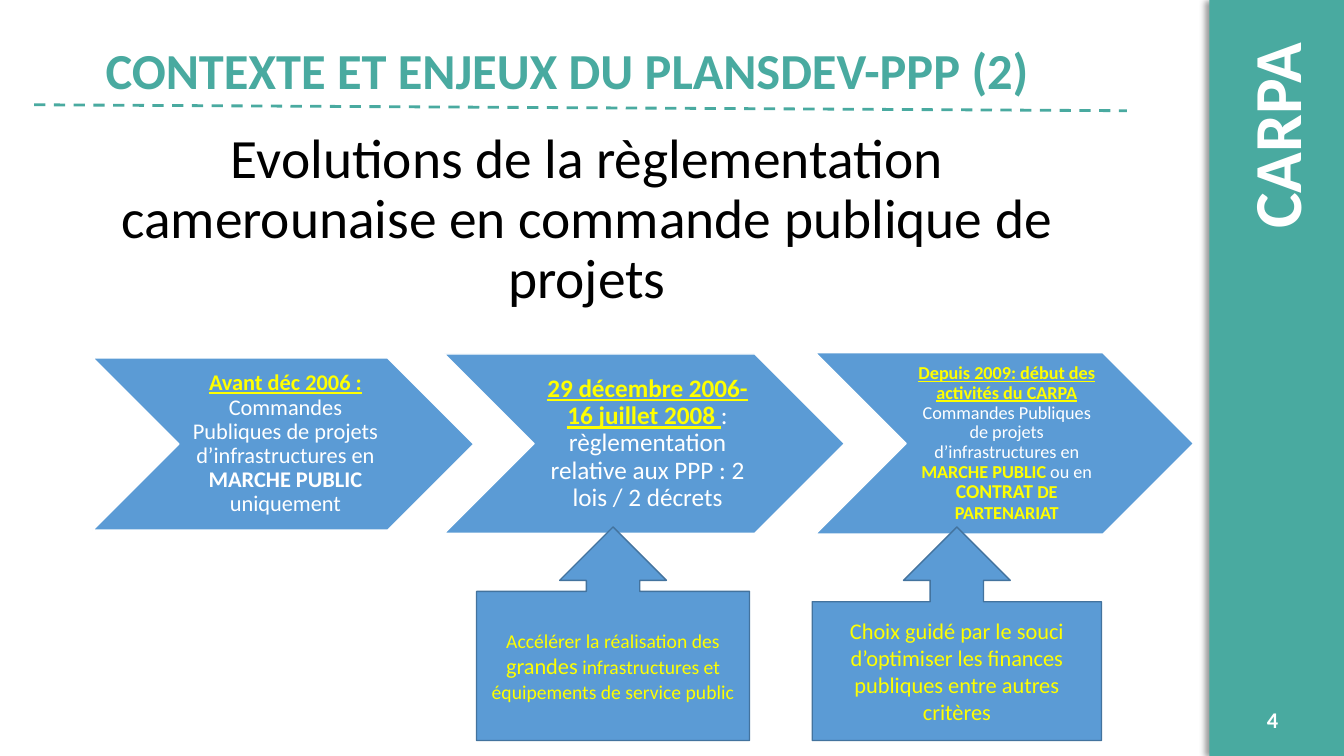
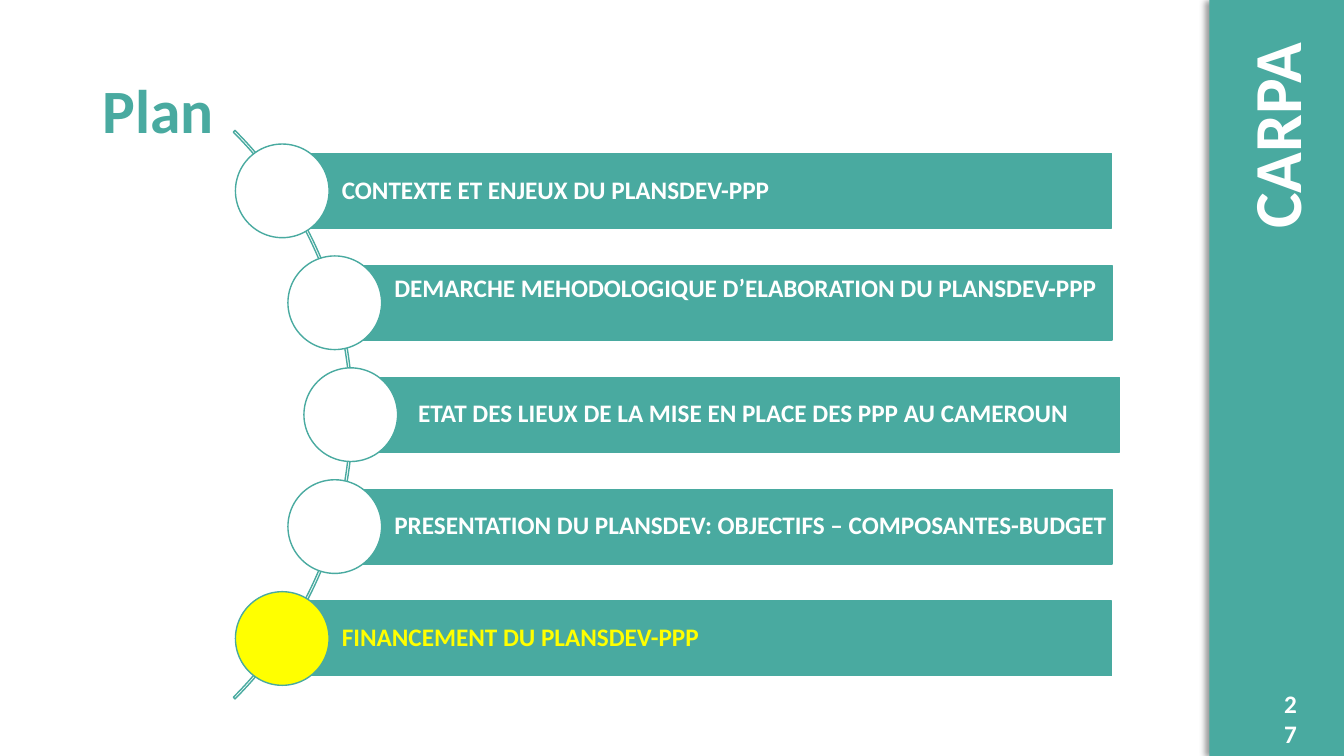
"""Build two slides on the PLANSDEV-PPP with a shared CARPA side band."""
from dataclasses import dataclass
from math import sqrt

from lxml import etree
from pptx import Presentation
from pptx.dml.color import RGBColor
from pptx.enum.dml import MSO_LINE
from pptx.enum.shapes import MSO_CONNECTOR, MSO_SHAPE
from pptx.enum.text import MSO_ANCHOR, PP_ALIGN
from pptx.oxml.ns import qn
from pptx.util import Cm, Pt

RECTANGLE = MSO_SHAPE.RECTANGLE
OVAL = MSO_SHAPE.OVAL
CHEVRON = MSO_SHAPE.CHEVRON
CALLOUT = MSO_SHAPE.UP_ARROW_CALLOUT
BLOCK_ARC = MSO_SHAPE.BLOCK_ARC
STRAIGHT = MSO_CONNECTOR.STRAIGHT
DASH = MSO_LINE.DASH
LEFT, CENTER, RIGHT = PP_ALIGN.LEFT, PP_ALIGN.CENTER, PP_ALIGN.RIGHT
TOP, MIDDLE = MSO_ANCHOR.TOP, MSO_ANCHOR.MIDDLE

FONT = "Calibri"
COLORS = {
    "teal": "49AAA0",
    "blue": "5B9BD5",
    "navy": "43739E",
    "yellow": "FFFF00",
    "white": "FFFFFF",
    "black": "000000",
}
DEFAULT_INSETS = (0.25, 0.13, 0.25, 0.13)
ARC_X, ARC_Y, ARC_RADIUS = -1.24, 10.45, 10.13
CIRCLE_ORBIT, CIRCLE_SIZE = 10.08, 2.36
BAR_PITCH, BAR_HEIGHT, BAR_RIGHT = 2.82, 1.88, 28.02


@dataclass(frozen=True)
class Span:
    """A stretch of text with one format."""
    text: str
    size: float
    color: str = "white"
    bold: bool = False
    underline: bool = False


@dataclass(frozen=True)
class Place:
    """A rectangle on the slide, in centimetres."""
    left: float
    top: float
    width: float
    height: float


@dataclass(frozen=True)
class Stage:
    """A chevron of the timeline with its text area."""
    place: Place
    text_place: Place
    spans: tuple[Span, ...]


@dataclass(frozen=True)
class Reason:
    """A callout that points up at a stage."""
    place: Place
    head_share: float
    spans: tuple[Span, ...]


@dataclass(frozen=True)
class Chapter:
    """A bar of the plan with its circle."""
    title: str
    shift: float = 0
    bottom_inset: float = 0.13
    current: bool = False


STAGES = (
    Stage(Place(2.34, 9.02, 9.6, 4.34), Place(4.5, 9.02, 5.26, 4.34), (
        Span("Avant déc 2006 : ", 16, "yellow", True, True),
        Span("Commandes Publiques de projets d’infrastructures en ", 16),
        Span("MARCHE PUBLIC ", 16, bold=True),
        Span("uniquement", 16),
    )),
    Stage(Place(11.2, 8.92, 10.08, 4.52), Place(13.46, 8.92, 5.59, 4.52), (
        Span("29 décembre 2006-16 juillet 2008 ", 18, "yellow", True, True),
        Span(": règlementation relative aux PPP : 2 lois / 2 décrets", 18),
    )),
    Stage(Place(20.55, 8.89, 9.53, 4.57), Place(22.83, 8.89, 4.95, 4.57), (
        Span("Depuis 2009: début des activités du CARPA ", 13, "yellow", True, True),
        Span("Commandes Publiques de projets d’infrastructures en ", 13),
        Span("MARCHE PUBLIC ", 13, "yellow", True),
        Span("ou en ", 13),
        Span("CONTRAT", 14, "yellow", True),
        Span(" DE PARTENARIAT", 13, "yellow", True),
    )),
)

REASONS = (
    Reason(Place(12.01, 13.28, 6.88, 5.38), 0.698, (
        Span("Accélérer la réalisation des ", 14, "yellow"),
        Span("grandes", 16, "yellow"),
        Span(" infrastructures et équipements de service public", 14, "yellow"),
    )),
    Reason(Place(20.47, 13.28, 7.29, 5.38), 0.65, (
        Span("Choix guidé par le souci d’optimiser les finances "
             "publiques entre autres critères", 16, "yellow"),
    )),
)

CHAPTERS = (
    Chapter("CONTEXTE ET ENJEUX DU PLANSDEV-PPP"),
    Chapter("DEMARCHE MEHODOLOGIQUE D’ELABORATION DU PLANSDEV-PPP",
            bottom_inset=0.81),
    Chapter("ETAT DES LIEUX DE LA MISE EN PLACE DES PPP AU CAMEROUN", shift=0.2),
    Chapter("PRESENTATION DU PLANSDEV: OBJECTIFS – COMPOSANTES-BUDGET"),
    Chapter("FINANCEMENT DU PLANSDEV-PPP", current=True),
)


def rgb(name: str) -> RGBColor:
    """Look up a colour by name."""
    return RGBColor.from_string(COLORS[name])


def lengths(place: Place) -> tuple[Cm, Cm, Cm, Cm]:
    """Turn a place into slide lengths."""
    return Cm(place.left), Cm(place.top), Cm(place.width), Cm(place.height)


def write(shape, *spans: Span, align=LEFT, anchor=MIDDLE, spacing: float = 1.0,
          insets: tuple[float, float, float, float] = DEFAULT_INSETS) -> None:
    """Write one paragraph of spans into a shape."""
    frame = shape.text_frame
    frame.word_wrap = True
    frame.vertical_anchor = anchor
    (frame.margin_left, frame.margin_top,
     frame.margin_right, frame.margin_bottom) = map(Cm, insets)
    para = frame.paragraphs[0]
    para.alignment = align
    para.line_spacing = spacing
    for span in spans:
        run = para.add_run()
        run.text = span.text
        run.font.name = FONT
        run.font.size = Pt(span.size)
        run.font.bold = span.bold
        run.font.underline = span.underline
        run.font.color.rgb = rgb(span.color)


def add_text(slide, place: Place, *spans: Span, **layout):
    """Add a text box holding one paragraph."""
    box = slide.shapes.add_textbox(*lengths(place))
    write(box, *spans, **layout)
    return box


def add_figure(slide, kind, place: Place, fill: str | None = None,
               line: str | None = None):
    """Add a preset shape without a theme shadow."""
    figure = slide.shapes.add_shape(kind, *lengths(place))
    figure.shadow.inherit = False
    if fill:
        figure.fill.solid()
        figure.fill.fore_color.rgb = rgb(fill)
    else:
        figure.fill.background()
    if line:
        figure.line.color.rgb = rgb(line)
        figure.line.width = Pt(1)
    else:
        figure.line.fill.background()
    return figure


def add_band(slide) -> None:
    """Add the side band with its soft shadow and name."""
    band = add_figure(slide, RECTANGLE, Place(30.48, 0, 3.39, 19.05), "teal")
    effects = band._element.spPr.find(qn("a:effectLst"))
    shadow = etree.SubElement(effects, qn("a:outerShdw"), blurRad=str(Pt(4)),
                              dist=str(Pt(3)), dir="10800000", rotWithShape="0")
    color = etree.SubElement(shadow, qn("a:srgbClr"), val=COLORS["black"])
    etree.SubElement(color, qn("a:alpha"), val="40000")
    name = add_text(slide, Place(29.16, 1.9, 5.92, 2.31),
                    Span("CARPA", 48, bold=True), anchor=TOP)
    name.rotation = 270


def add_title(slide, text: str, left: float, top: float, **style) -> None:
    """Add a title in the shared title box."""
    layout = {"align": style.pop("align", LEFT), "spacing": 0.9}
    add_text(slide, Place(left, top, 26.64, 3.68), Span(text, **style), **layout)


def add_rule(slide) -> None:
    """Add the dashed line under the heading."""
    rule = slide.shapes.add_connector(STRAIGHT, Cm(0.86), Cm(2.64), Cm(28.4), Cm(2.79))
    rule.line.color.rgb = rgb("teal")
    rule.line.width = Pt(2)
    rule.line.dash_style = DASH
    etree.SubElement(rule._element.spPr, qn("a:effectLst"))


def add_stage(slide, stage: Stage) -> None:
    """Add a chevron and its text."""
    add_figure(slide, CHEVRON, stage.place, "blue", "white")
    add_text(slide, stage.text_place, *stage.spans, align=CENTER, spacing=0.9,
             insets=(0.18, 0.05, 0.05, 0.05))


def add_reason(slide, reason: Reason) -> None:
    """Add an upward callout with its text."""
    callout = add_figure(slide, CALLOUT, reason.place, "blue", "navy")
    callout.adjustments[3] = reason.head_share
    write(callout, *reason.spans, align=CENTER)


def add_chapter(slide, chapter: Chapter, step: int) -> None:
    """Add a bar and its circle, set on the arc by the step from its middle."""
    rise = step * BAR_PITCH
    middle_x = ARC_X + sqrt(CIRCLE_ORBIT ** 2 - rise ** 2)
    middle_y = ARC_Y + rise
    bar_left = middle_x + chapter.shift
    bar = add_figure(slide, RECTANGLE,
                     Place(bar_left, middle_y - BAR_HEIGHT / 2,
                           BAR_RIGHT + chapter.shift - bar_left, BAR_HEIGHT),
                     "teal", "teal")
    write(bar, Span(chapter.title, 18, "yellow" if chapter.current else "white", True),
          spacing=0.9, insets=(1.5, 0.13, 0, chapter.bottom_inset))
    add_figure(slide, OVAL,
               Place(middle_x - CIRCLE_SIZE / 2, middle_y - CIRCLE_SIZE / 2,
                     CIRCLE_SIZE, CIRCLE_SIZE),
               "yellow" if chapter.current else "white", "teal")


def build_context(slide) -> None:
    """Draw the regulation timeline."""
    add_title(slide, "Evolutions de la règlementation camerounaise "
              "en commande publique de projets", 1.47, 3.71,
              size=39.6, color="black", align=CENTER)
    for stage in STAGES:
        add_stage(slide, stage)
    for reason in REASONS:
        add_reason(slide, reason)
    add_title(slide, "CONTEXTE ET ENJEUX DU PLANSDEV-PPP (2)", 2.41, 0,
              size=36, color="teal", bold=True)
    add_rule(slide)
    add_text(slide, Place(25.48, 17.63, 6.98, 1.02), Span("4", 16, bold=True),
             align=RIGHT)


def build_plan(slide) -> None:
    """Draw the plan with its chapters along an arc."""
    add_title(slide, "Plan", 2.34, 1.02, size=44, color="teal", bold=True)
    add_text(slide, Place(32.11, 17.22, 0.84, 1.02), Span("27", 18, bold=True),
             anchor=TOP)
    arc = add_figure(slide, BLOCK_ARC,
                     Place(ARC_X - ARC_RADIUS, ARC_Y - ARC_RADIUS,
                           2 * ARC_RADIUS, 2 * ARC_RADIUS), line="teal")
    for index, value in enumerate((189, 27, 0.003)):
        arc.adjustments[index] = value
    for step, chapter in enumerate(CHAPTERS, start=-(len(CHAPTERS) // 2)):
        add_chapter(slide, chapter, step)


def main() -> None:
    """Build and save the deck."""
    deck = Presentation()
    deck.slide_width, deck.slide_height = Cm(33.87), Cm(19.05)
    for build in (build_context, build_plan):
        slide = deck.slides.add_slide(deck.slide_layouts[6])
        add_band(slide)
        build(slide)
    deck.save("out.pptx")


if __name__ == "__main__":
    main()
